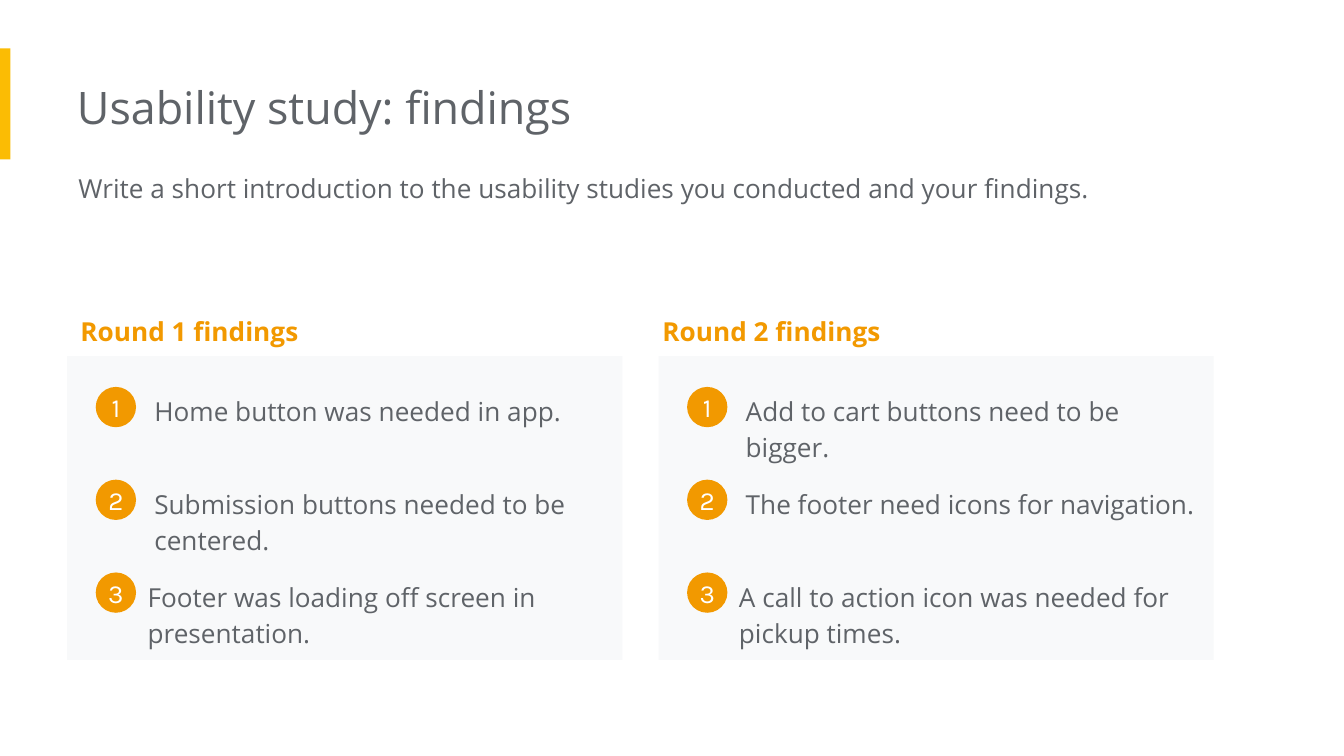
from pptx import Presentation
from pptx.dml.color import RGBColor
from pptx.enum import shapes, text
from pptx.util import Pt

TITLE = "Usability study: findings"
INTRO = "Write a short introduction to the usability studies you conducted and your findings."
# heading, heading left, panel left, findings
ROUNDS = [
    ("Round 1 findings", 36, 36, [
        "Home button was needed in app.",
        "Submission buttons needed to be centered.",
        "Footer was loading off screen in presentation.",
    ]),
    ("Round 2 findings", 347.8, 352.8, [
        "Add to cart buttons need to be bigger.",
        "The footer need icons for navigation.",
        "A call to action icon was needed for pickup times.",
    ]),
]
INDENTS = [39.6, 39.6, 36]  # text offset from the panel, per row
GRAY, ORANGE, YELLOW, PALE, WHITE = "5F6368", "F29900", "FBBC04", "F8F9FA", "FFFFFF"
TOP, STEP, DOT = 190.8, 49.7, 21.6


def color(code):
    return RGBColor.from_string(code)


def write(shape, words, size=14, face="Open Sans", ink=GRAY, bold=False,
          line=1.15, left=7.2, pad=7.2, align=text.PP_ALIGN.LEFT,
          anchor=text.MSO_ANCHOR.TOP, fit=text.MSO_AUTO_SIZE.SHAPE_TO_FIT_TEXT):
    frame = shape.text_frame
    frame.word_wrap = True
    frame.auto_size = fit
    frame.vertical_anchor = anchor
    frame.margin_left = Pt(left)
    frame.margin_top = frame.margin_right = frame.margin_bottom = Pt(pad)
    para = frame.paragraphs[0]
    para.alignment = align
    para.line_spacing = line
    run = para.add_run()
    run.text = words
    font = run.font
    font.size, font.name, font.bold = Pt(size), face, bold
    font.color.rgb = color(ink)


def label(x, y, w, h, words, **form):
    write(slide.shapes.add_textbox(Pt(x), Pt(y), Pt(w), Pt(h)), words, **form)


def block(kind, x, y, w, h, fill):
    shape = slide.shapes.add_shape(kind, Pt(x), Pt(y), Pt(w), Pt(h))
    shape.shadow.inherit = False
    shape.fill.solid()
    shape.fill.fore_color.rgb = color(fill)
    shape.line.fill.background()
    return shape


deck = Presentation()
deck.slide_width, deck.slide_height = Pt(720), Pt(405)
slide = deck.slides.add_slide(deck.slide_layouts[5])
RECT, OVAL = shapes.MSO_SHAPE.RECTANGLE, shapes.MSO_SHAPE.OVAL

block(RECT, 0, 26, 5.6, 59.4, YELLOW)
title = slide.shapes.title
title.left, title.top, title.width, title.height = Pt(41.2), Pt(35.4), Pt(484.6), Pt(43.9)
write(title, TITLE, size=24, line=1, left=0)
label(42, 82.8, 620, 51, INTRO, left=0)

for head, head_x, x, finds in ROUNDS:
    block(RECT, x, TOP, 297.4, 162.7, PALE)
    label(head_x, 159.1, 262.8, 31.7, head, ink=ORANGE, bold=True)
    for i, (find, indent) in enumerate(zip(finds, INDENTS)):
        y = TOP + 11.5 + i * STEP
        label(x + indent, y, 262.8, 53.3, find)
        dot = block(OVAL, x + 15.3, y + 5, DOT, DOT, ORANGE)
        write(dot, str(i + 1), face="Karla", ink=WHITE, line=1, left=0, pad=0,
              align=text.PP_ALIGN.CENTER, anchor=text.MSO_ANCHOR.MIDDLE,
              fit=text.MSO_AUTO_SIZE.NONE)

deck.save("out.pptx")
